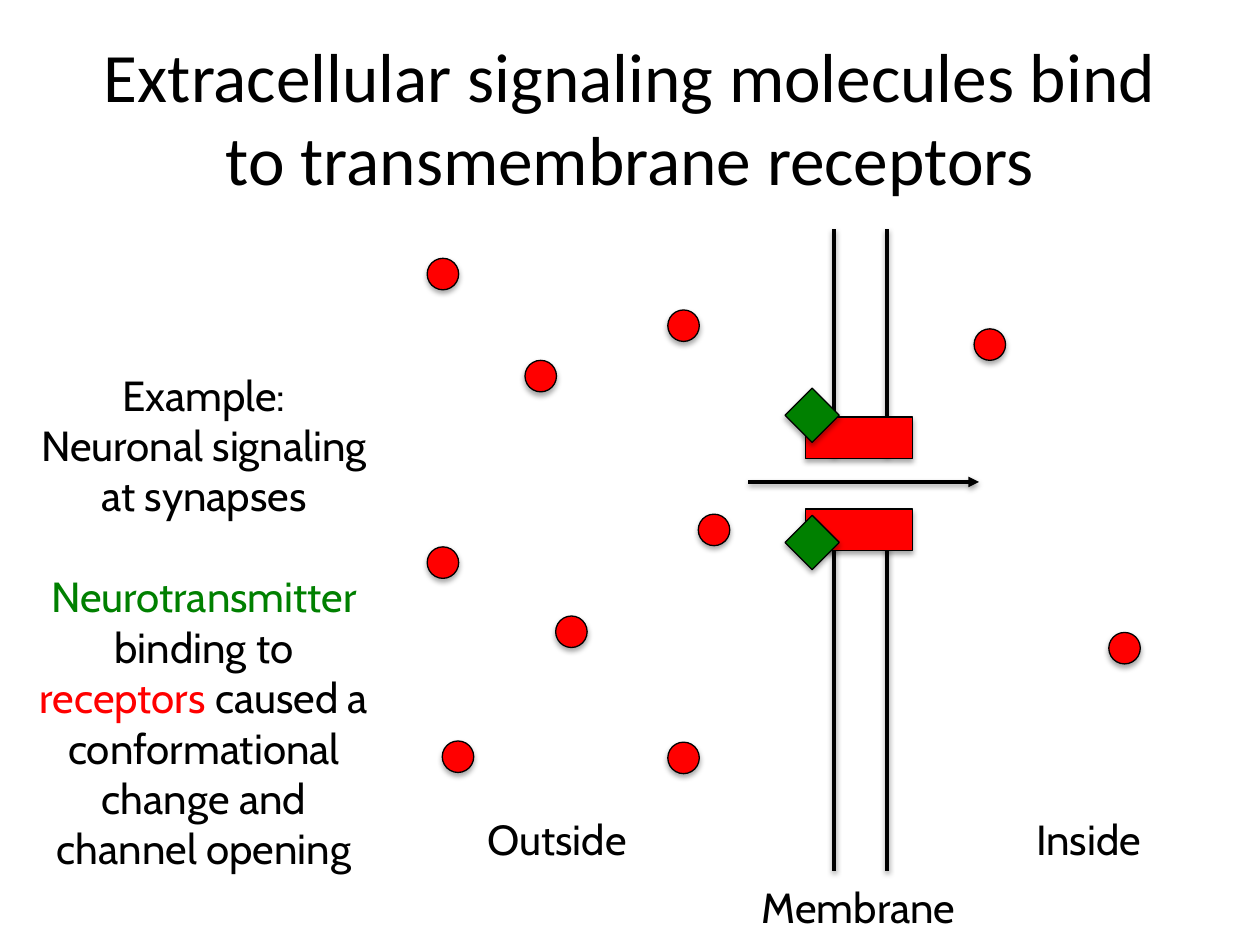
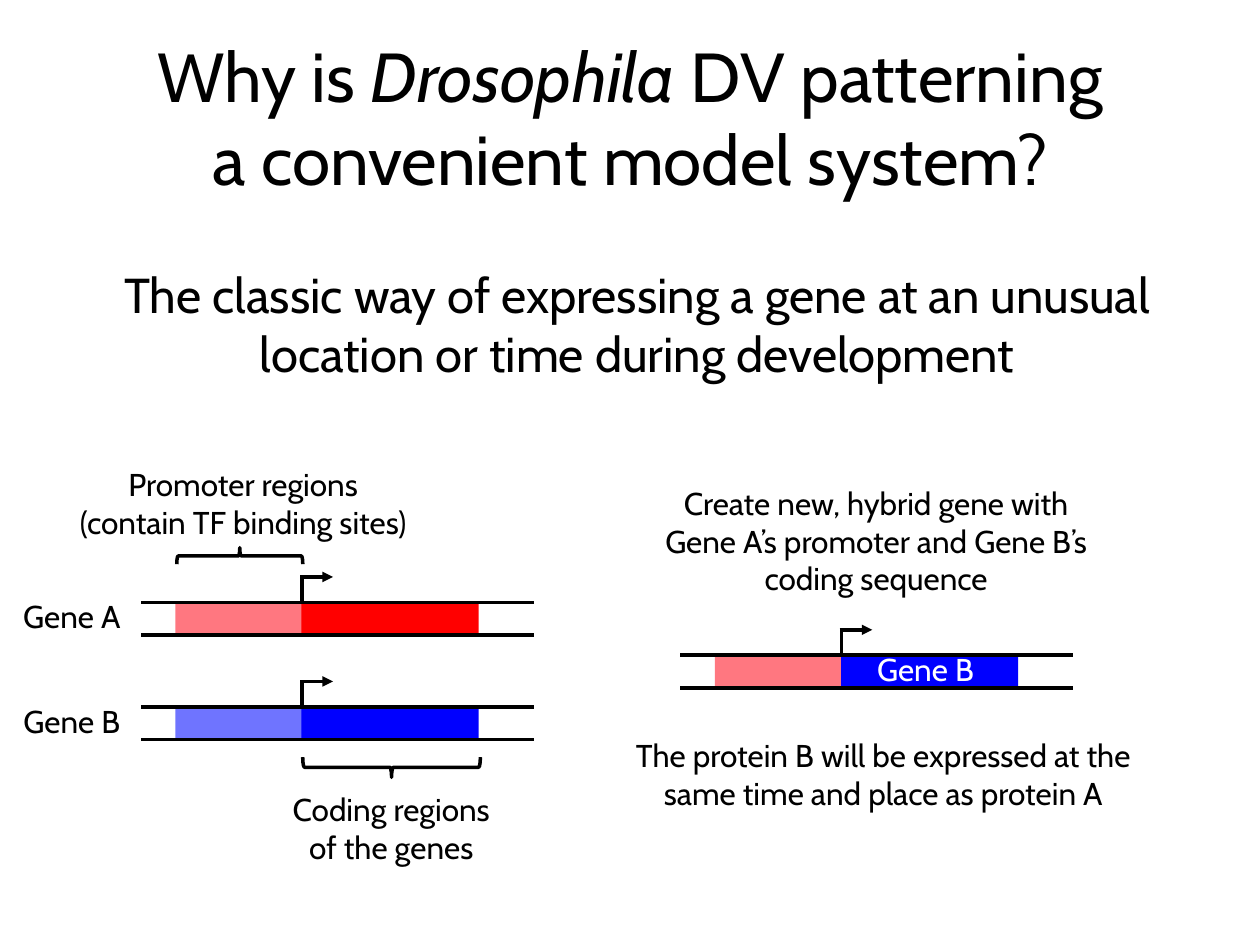
from dataclasses import dataclass

from lxml import etree
from pptx import Presentation
from pptx.dml.color import RGBColor
from pptx.enum import shapes, text
from pptx.oxml.ns import qn
from pptx.util import Pt


@dataclass(frozen=True)
class Theme:
    font: str = "Cabin"
    black: str = "000000"
    white: str = "FFFFFF"
    red: str = "FF0000"
    green: str = "008000"
    blue: str = "0000FF"
    pale_red: str = "FF7780"
    pale_blue: str = "6F74FF"
    title: float = 39.6
    lead: float = 28
    label: float = 24
    small: float = 18
    stroke: float = 2
    outline: float = 0.75


T = Theme()
SHAPE = shapes.MSO_SHAPE
SHAPE_SHADOW = {"alpha": 35000, "dist": 1.8}
LINE_SHADOW = {"alpha": 38000, "dist": 1.6}


def rgb(color):
    return RGBColor.from_string(color)


def write(tf, paragraphs, size, font=T.font, color=T.black, gap=0):
    tf.word_wrap = True
    tf.auto_size = text.MSO_AUTO_SIZE.NONE
    for i, parts in enumerate(paragraphs):
        p = tf.add_paragraph() if i else tf.paragraphs[0]
        p.alignment = text.PP_ALIGN.CENTER
        p.space_before = Pt(gap if i and i == len(paragraphs) - 1 else 0)
        for part in [parts] if isinstance(parts, str) else parts:
            if part == "\n":
                p.add_line_break()
                continue
            words, fmt = (part, {}) if isinstance(part, str) else part
            r = p.add_run()
            r.text = words
            r.font.name, r.font.size = font, Pt(size)
            r.font.italic = fmt.get("italic", False)
            r.font.color.rgb = rgb(fmt.get("color", color))


def add_title(s, parts, **fmt):
    sp = s.shapes.title
    sp.left, sp.top, sp.width, sp.height = Pt(36), Pt(21.6), Pt(648), Pt(90)
    sp.text_frame.vertical_anchor = text.MSO_ANCHOR.MIDDLE
    write(sp.text_frame, [parts], T.title, **fmt)


def add_text(s, x, y, w, h, *paragraphs, size=T.small, **fmt):
    sp = s.shapes.add_textbox(Pt(x), Pt(y), Pt(w), Pt(h))
    write(sp.text_frame, paragraphs, size, **fmt)


def set_shadow(sp, shadow):
    effects = etree.SubElement(sp._element.spPr, qn("a:effectLst"))
    if shadow:
        outer = etree.SubElement(
            effects, qn("a:outerShdw"), blurRad=str(Pt(3.1)),
            dist=str(Pt(shadow["dist"])), dir="5400000", rotWithShape="0")
        color = etree.SubElement(outer, qn("a:srgbClr"), val=T.black)
        etree.SubElement(color, qn("a:alpha"), val=str(shadow["alpha"]))


def add_shape(s, kind, x, y, w, h, fill=None, stroke=0, rotation=0, shadow=None):
    sp = s.shapes.add_shape(kind, Pt(x), Pt(y), Pt(w), Pt(h))
    sp.rotation = rotation
    if fill:
        sp.fill.solid()
        sp.fill.fore_color.rgb = rgb(fill)
    else:
        sp.fill.background()
    if stroke:
        sp.line.color.rgb = rgb(T.black)
        sp.line.width = Pt(stroke)
    else:
        sp.line.fill.background()
    set_shadow(sp, shadow)


def add_line(s, x1, y1, x2, y2, arrow=False, shadow=None):
    sp = s.shapes.add_connector(
        shapes.MSO_CONNECTOR.STRAIGHT, Pt(x1), Pt(y1), Pt(x2), Pt(y2))
    sp.line.color.rgb = rgb(T.black)
    sp.line.width = Pt(T.stroke)
    if arrow:
        etree.SubElement(sp.line._get_or_add_ln(), qn("a:tailEnd"), type="triangle")
    set_shadow(sp, shadow)


def add_brace(s, x, y, length, depth, rotation):
    add_shape(s, SHAPE.LEFT_BRACE, x + (length - depth) / 2, y + (depth - length) / 2,
              depth, length, stroke=T.stroke, rotation=rotation)


def add_gene(s, x, y, promoter, coding):
    height, start = 18.7, x + 91
    add_line(s, start + 1, y - 14.5, start + 1, y + 7)
    add_line(s, start, y - 14.5, start + 18.7, y - 14.5, arrow=True)
    add_shape(s, SHAPE.RECTANGLE, start, y, 102, height, coding)
    add_shape(s, SHAPE.RECTANGLE, x + 19.7, y, 72, height, promoter)
    for strand in (y, y + height):
        add_line(s, x, strand, x + 224.6, strand)


def receptor_slide(prs):
    s = prs.slides.add_slide(prs.slide_layouts[5])
    add_title(s, "Extracellular signaling molecules bind to transmembrane receptors",
              font="Calibri")
    for top, bottom in ((290.9, 497.5), (131, 260.6)):
        for x in (476.6, 506.9):
            add_line(s, x, top, x, bottom, shadow=LINE_SHADOW)

    molecules = [(317.5, 352), (399, 293.8), (300, 205.9), (381.6, 177.1),
                 (244.1, 312.5), (381.6, 424.1), (252.7, 423.4), (244.1, 147.6),
                 (556.6, 187.9), (633.6, 361.4)]
    for x, y in molecules:
        add_shape(s, SHAPE.OVAL, x, y, 18, 18, T.red, T.outline, shadow=SHAPE_SHADOW)

    add_text(s, 505.4, 461.5, 233.3, 36, "Inside", size=T.label)
    add_text(s, 201.6, 461.5, 233.3, 36, "Outside", size=T.label)
    add_text(s, 423.4, 500.4, 134.6, 36, "Membrane", size=T.label)
    add_text(s, 12.2, 207.4, 208.8, 326.9,
             "Example:", "Neuronal signaling", "at synapses",
             [("Neurotransmitter ", {"color": T.green}), "binding to ",
              ("receptors", {"color": T.red}),
              " caused a conformational change and channel opening"],
             size=T.label, gap=28.9)

    for y in (238.3, 290.9):
        add_shape(s, SHAPE.RECTANGLE, 460.1, y, 61.2, 23.8, T.red, T.outline,
                  shadow=SHAPE_SHADOW)
    for y in (221.8, 294.5):
        add_shape(s, SHAPE.DIAMOND, 448.6, y, 31, 31, T.green, T.outline,
                  shadow=SHAPE_SHADOW)
    add_line(s, 427.7, 275.4, 559.4, 275.4, arrow=True, shadow=LINE_SHADOW)


def hybrid_gene_slide(prs):
    s = prs.slides.add_slide(prs.slide_layouts[5])
    add_title(s, ["Why is ", ("Drosophila ", {"italic": True}), "DV patterning",
                  "\n", "a convenient model system?"])
    add_text(s, 21.6, 147.6, 684.7, 74.9,
             "The classic way of expressing a gene at an unusual location "
             "or time during development", size=T.lead)

    genes = [("Gene A", 344.2, T.pale_red, T.red),
             ("Gene B", 403.9, T.pale_blue, T.blue)]
    for name, y, promoter, coding in genes:
        add_gene(s, 80.6, y, promoter, coding)
        add_text(s, 1.8, y - 6.5, 78.5, 28.8, name)
    add_brace(s, 101, 313, 72, 9.4, 90)
    add_brace(s, 173, 432.7, 101.5, 11.5, 270)
    add_text(s, 32.4, 262.1, 213.1, 51.1,
             "Promoter regions", "(contain TF binding sites)")
    add_text(s, 151.9, 447.8, 143.3, 51.1, "Coding regions", "of the genes")

    add_gene(s, 388.8, 374.4, T.pale_red, T.blue)
    add_text(s, 489.6, 367.9, 78.5, 28.8, "Gene B", color=T.white)
    add_text(s, 368.6, 272.9, 264.2, 72.7,
             "Create new, hybrid gene with Gene A’s promoter and Gene B’s "
             "coding sequence")
    add_text(s, 355, 416.9, 299.5, 51.1,
             "The protein B will be expressed at the same time and place as protein A")


def main():
    prs = Presentation()
    prs.slide_width, prs.slide_height = Pt(720), Pt(540)
    receptor_slide(prs)
    hybrid_gene_slide(prs)
    prs.save("out.pptx")


if __name__ == "__main__":
    main()
